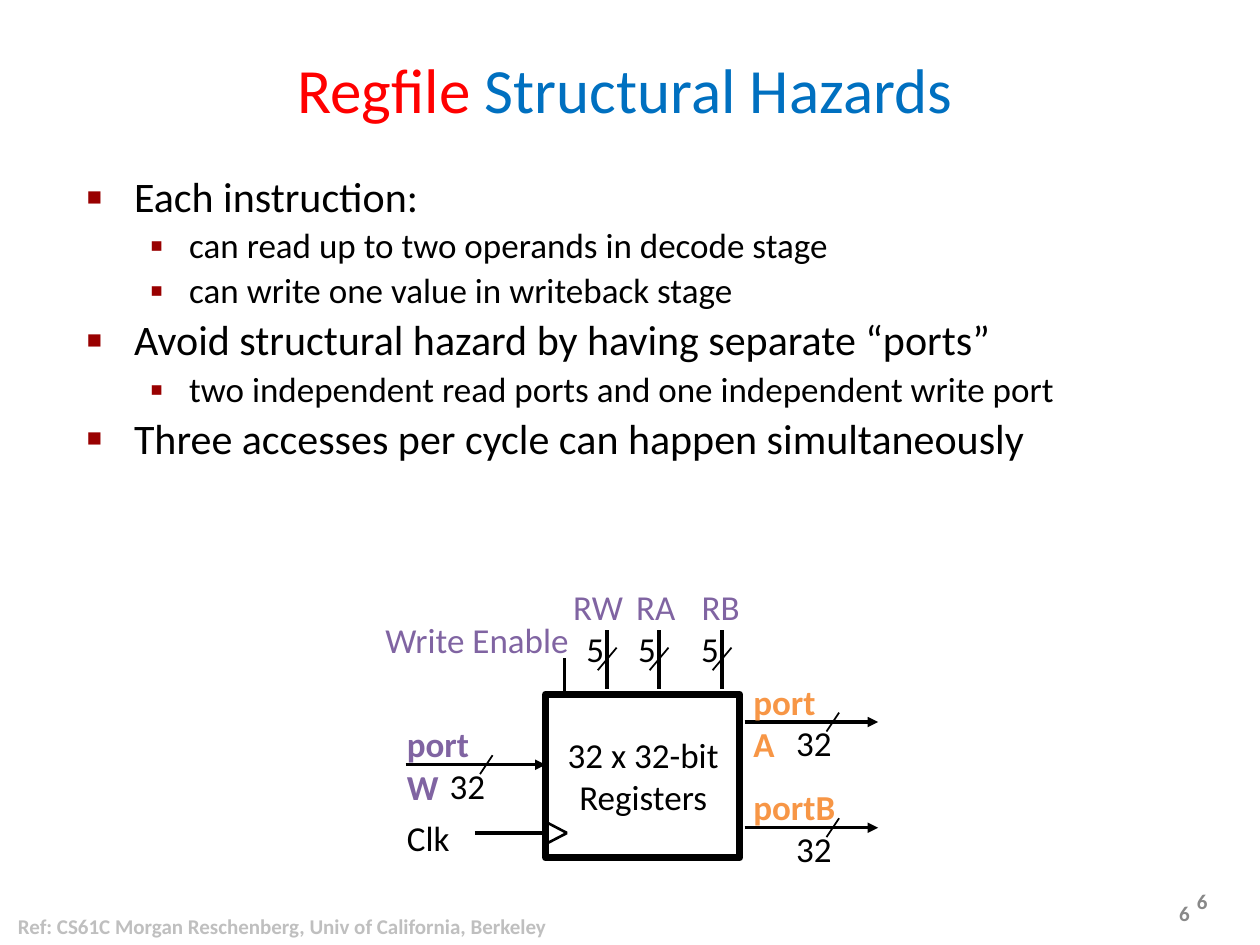
from pptx import Presentation
from pptx import util as u
from pptx.dml.color import RGBColor
from pptx.enum import shapes, text
from pptx.oxml import ns, xmlchemy

Pt = u.Pt
COLORS = {
    "black": "000000", "red": "FF0000", "blue": "0070C0", "purple": "8064A2",
    "orange": "F79646", "bullet": "990000", "page": "898989",
    "number": "888888", "reference": "BFBFBF",
}
ALIGN = {"left": text.PP_ALIGN.LEFT, "center": text.PP_ALIGN.CENTER,
         "right": text.PP_ALIGN.RIGHT}
ANCHOR = {"top": text.MSO_ANCHOR.TOP, "middle": text.MSO_ANCHOR.MIDDLE}

# Per level: text size, left margin, hanging indent, bullet, bullet size in %
LEVELS = [(24, 27, 27, "■", 60), (20, 58.5, 22.5, "▪", 110)]
BULLETS = [
    (0, "Each instruction:"),
    (1, "can read up to two operands in decode stage"),
    (1, "can write one value in writeback stage"),
    (0, "Avoid structural hazard by having separate “ports”"),
    (1, "two independent read ports and one independent write port"),
    (0, "Three accesses per cycle can happen simultaneously"),
]


def rgb(name):
    return RGBColor.from_string(COLORS[name])


def add_xml(parent, tag, **attributes):
    element = xmlchemy.OxmlElement(tag)
    for key, value in attributes.items():
        element.set(key, str(value))
    parent.append(element)
    return element


def add_run(paragraph, words, size=20, color="black", bold=False):
    run = paragraph.add_run()
    run.text = words
    run.font.name = "Calibri"
    run.font.size = Pt(size)
    run.font.bold = bold
    run.font.color.rgb = rgb(color)


def add_frame(slide, box, anchor="top", wrap=False):
    frame = slide.shapes.add_textbox(*map(Pt, box)).text_frame
    frame.word_wrap = wrap
    frame.vertical_anchor = ANCHOR[anchor]
    return frame


def add_text(slide, words, box, align="left", anchor="top", wrap=False, **font):
    """Add a text box; each line of words becomes a paragraph."""
    frame = add_frame(slide, box, anchor, wrap)
    for index, line in enumerate(words.split("\n")):
        paragraph = frame.add_paragraph() if index else frame.paragraphs[0]
        paragraph.alignment = ALIGN[align]
        add_run(paragraph, line, **font)


def add_line(slide, x1, y1, x2, y2, width=2, arrow=False):
    line = slide.shapes.add_connector(
        shapes.MSO_CONNECTOR.STRAIGHT, Pt(x1), Pt(y1), Pt(x2), Pt(y2))
    line.line.color.rgb = rgb("black")
    line.line.width = Pt(width)
    if arrow:
        add_xml(line.line._get_or_add_ln(), "a:tailEnd", type="triangle")
    add_xml(line._element.spPr, "a:effectLst")


def add_title(slide):
    frame = add_frame(slide, (17.3, 11.5, 679.7, 82.8), "middle", True)
    paragraph = frame.paragraphs[0]
    paragraph.alignment = ALIGN["center"]
    paragraph.line_spacing = 0.9
    add_run(paragraph, "Regfile ", size=36, color="red")
    add_run(paragraph, "Structural Hazards", size=36, color="blue")


def add_bullets(slide):
    frame = add_frame(slide, (42.5, 97.2, 635, 389.5), wrap=True)
    for index, (level, words) in enumerate(BULLETS):
        size, margin, hanging, mark, percent = LEVELS[level]
        paragraph = frame.add_paragraph() if index else frame.paragraphs[0]
        paragraph.level = level
        paragraph.line_spacing = 0.9
        paragraph.space_before = Pt(size * 0.2)
        properties = paragraph._p.get_or_add_pPr()
        properties.set("marL", str(Pt(margin)))
        properties.set("indent", str(-Pt(hanging)))
        color = add_xml(properties, "a:buClr")
        add_xml(color, "a:srgbClr", val=COLORS["bullet"])
        add_xml(properties, "a:buSzPct", val=percent * 1000)
        add_xml(properties, "a:buFont", typeface="Arial")
        add_xml(properties, "a:buChar", char=mark)
        add_run(paragraph, words, size=size)


def add_data_port(slide, name, color, left, right, y, slash, name_box, bits_left):
    """Arrow with a 32-bit bus slash and a port name."""
    name_left, name_width = name_box
    add_line(slide, left, y, right, y, arrow=True)
    add_line(slide, slash, y - 5.4, slash - 7.2, y + 5.4, width=1)
    add_text(slide, "32", (bits_left, y - 3.6, 34.6, 31))
    add_text(slide, name, (name_left, y - 27.4, name_width, 31),
             wrap=True, color=color, bold=True)


def add_address_port(slide, name, x, name_left, name_width):
    """Vertical 5-bit wire with its name above."""
    add_line(slide, x, 360, x, 393.8)
    add_line(slide, x - 5.4, 383, x + 5.4, 370.1, width=1)
    add_text(slide, "5", (x - 19, 355, 24.5, 31))
    add_text(slide, name, (name_left, 331.2, name_width, 31), color="purple")


def add_register_file(slide):
    block = slide.shapes.add_shape(
        shapes.MSO_SHAPE.RECTANGLE, Pt(311.8), Pt(396.7), Pt(110.9), Pt(93.6))
    block.shadow.inherit = False
    block.fill.background()
    block.line.color.rgb = rgb("black")
    block.line.width = Pt(4)
    add_text(slide, "32 x 32-bit\nRegisters", (316.8, 415.4, 101.5, 55.4),
             align="center")

    # Write and read data ports
    add_data_port(slide, "portW", "purple", 231.8, 311.8, 437, 281.5,
                  (225.4, 67), 249.8)
    for name, y in (("portA", 412.6), ("portB", 473)):
        add_data_port(slide, name, "orange", 425.5, 501.8, y, 479.5,
                      (423.4, 61.2), 447.8)

    # Register address ports
    for port in (("RW", 347, 320.4, 43.9), ("RA", 376.6, 356.4, 38.2),
                 ("RB", 412.6, 393.8, 37.4)):
        add_address_port(slide, *port)

    # Write enable
    add_text(slide, "Write Enable", (213.1, 349.9, 122.4, 31), color="purple")
    add_line(slide, 322.6, 396, 322.6, 375.8)

    # Clock input with its edge marker
    add_text(slide, "Clk", (225.4, 463, 39.6, 31))
    add_line(slide, 271.4, 476, 309.6, 476)
    for y in (470, 482):
        add_line(slide, 312.5, y, 324, 476, width=1.5)


def add_footer(slide):
    add_text(slide, "6", (662.4, 511.2, 28.8, 21.6), align="center",
             anchor="middle", size=12, color="page", bold=True)
    add_text(slide, "6", (535, 500.4, 162, 28.8), align="right",
             anchor="middle", wrap=True, size=12, color="number", bold=True)
    add_text(slide, "Ref: CS61C Morgan Reschenberg, Univ of California, Berkeley",
             (0, 514.8, 322.6, 28.8), align="center", anchor="middle",
             size=12, color="reference", bold=True)


def main():
    presentation = Presentation()
    presentation.slide_width, presentation.slide_height = Pt(720), Pt(540)
    slide = presentation.slides.add_slide(presentation.slide_layouts[6])
    add_title(slide)
    add_bullets(slide)
    add_register_file(slide)
    add_footer(slide)
    presentation.save("out.pptx")


if __name__ == "__main__":
    main()
